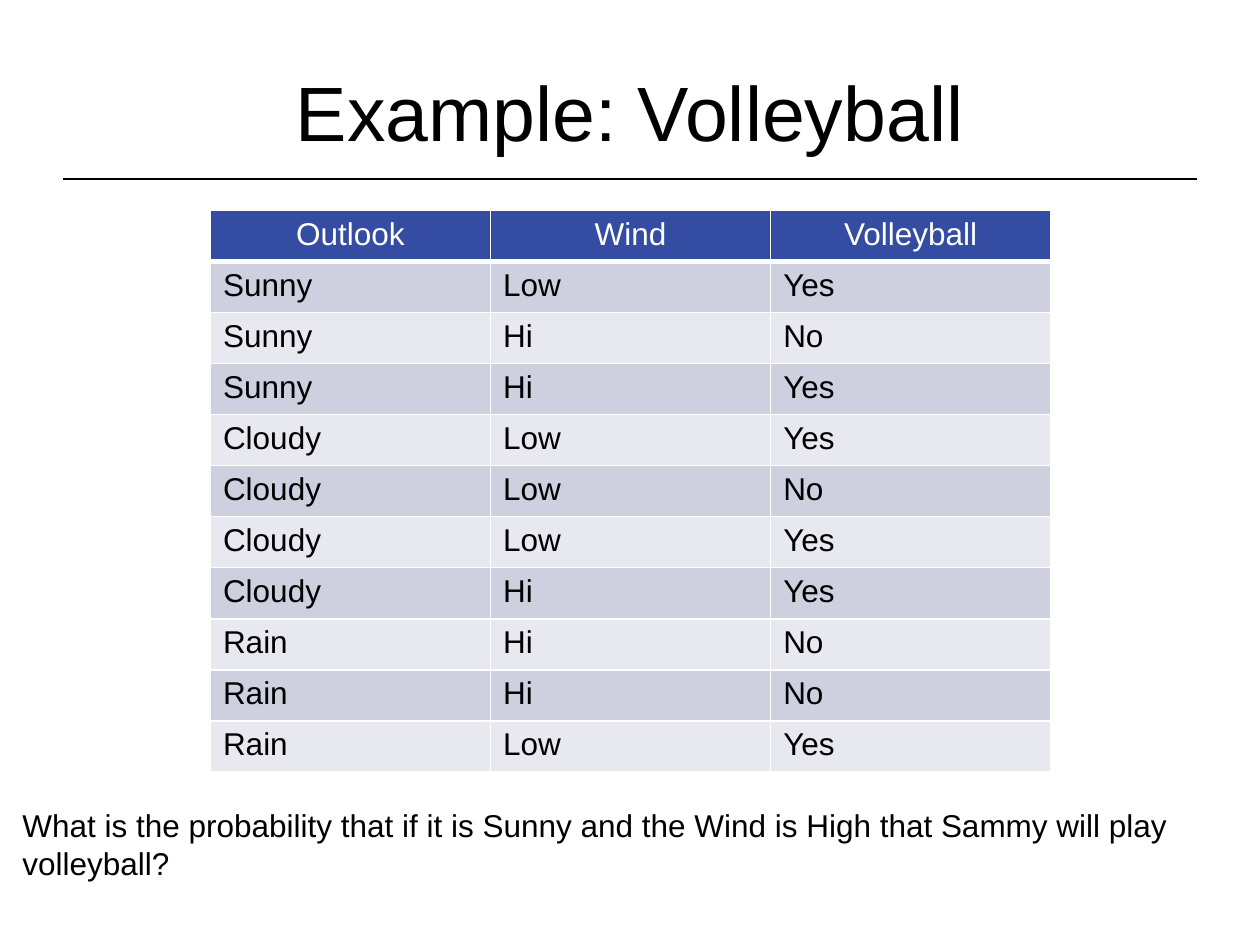
from pptx import Presentation
from pptx.dml.color import RGBColor
from pptx.enum.shapes import MSO_CONNECTOR
from pptx.enum.text import MSO_ANCHOR, MSO_AUTO_SIZE, PP_ALIGN
from pptx.oxml.ns import qn
from pptx.util import Inches, Pt
from lxml import etree

STRAIGHT = MSO_CONNECTOR.STRAIGHT
MIDDLE = MSO_ANCHOR.MIDDLE
GROW = MSO_AUTO_SIZE.SHAPE_TO_FIT_TEXT
LEFT, CENTER = PP_ALIGN.LEFT, PP_ALIGN.CENTER

BLACK = RGBColor(0x00, 0x00, 0x00)
WHITE = RGBColor(0xFF, 0xFF, 0xFF)
HEADER_BLUE = RGBColor(0x34, 0x4C, 0xA1)
BANDS = (RGBColor(0xCE, 0xD0, 0xE0), RGBColor(0xE8, 0xE9, 0xF0))

TITLE_ONLY = 5
OBSERVATIONS = (
    ("Outlook", "Wind", "Volleyball"),
    ("Sunny", "Low", "Yes"),
    ("Sunny", "Hi", "No"),
    ("Sunny", "Hi", "Yes"),
    ("Cloudy", "Low", "Yes"),
    ("Cloudy", "Low", "No"),
    ("Cloudy", "Low", "Yes"),
    ("Cloudy", "Hi", "Yes"),
    ("Rain", "Hi", "No"),
    ("Rain", "Hi", "No"),
    ("Rain", "Low", "Yes"),
)


class SlideBuilder:
    """Holds the text style and the slide that elements are added to."""

    def __init__(self, slide, font="Arial"):
        self.slide = slide
        self.font = font

    def set_text(self, frame, text, size=18, color=BLACK, align=LEFT):
        frame.text = text
        paragraph = frame.paragraphs[0]
        paragraph.alignment = align
        font = paragraph.runs[0].font
        style = {"name": self.font, "size": Pt(size), "bold": False}
        for key, value in style.items():
            setattr(font, key, value)
        font.color.rgb = color

    def title(self, text, left, top, width, height):
        heading = self.slide.shapes.title
        place = {"left": left, "top": top, "width": width, "height": height}
        for key, value in place.items():
            setattr(heading, key, Inches(value))
        heading.text_frame.vertical_anchor = MIDDLE
        self.set_text(heading.text_frame, text, size=44, align=CENTER)

    def rule(self, left, right, y, width):
        divider = self.slide.shapes.add_connector(
            STRAIGHT, Inches(left), Inches(y), Inches(right), Inches(y))
        divider.line.color.rgb = BLACK
        divider.line.width = Pt(width)
        etree.SubElement(divider._element.spPr, qn("a:effectLst"))

    def borders(self, cell, bottom):
        properties = cell._tc.get_or_add_tcPr()
        widths = {"a:lnL": 1, "a:lnR": 1, "a:lnT": 1, "a:lnB": bottom}
        for position, (tag, width) in enumerate(widths.items()):
            edge = etree.Element(qn(tag), w=str(Pt(width)))
            fill = etree.SubElement(edge, qn("a:solidFill"))
            etree.SubElement(fill, qn("a:srgbClr"), val=str(WHITE))
            properties.insert(position, edge)

    def table(self, rows, left, top, width, height):
        grid = self.slide.shapes.add_table(
            len(rows), len(rows[0]), Inches(left), Inches(top),
            Inches(width), Inches(height)).table
        for r, values in enumerate(rows):
            header = r == 0
            for c, value in enumerate(values):
                cell = grid.cell(r, c)
                cell.fill.solid()
                cell.fill.fore_color.rgb = HEADER_BLUE if header else BANDS[(r - 1) % 2]
                self.borders(cell, bottom=3 if header else 1)
                self.set_text(cell.text_frame, value,
                              color=WHITE if header else BLACK,
                              align=CENTER if header else LEFT)

    def text(self, words, left, top, width, height):
        frame = self.slide.shapes.add_textbox(
            Inches(left), Inches(top), Inches(width), Inches(height)).text_frame
        frame.word_wrap = True
        frame.auto_size = GROW
        self.set_text(frame, words)


deck = Presentation()
deck.slide_width, deck.slide_height = Inches(10), Inches(7.5)
builder = SlideBuilder(deck.slides.add_slide(deck.slide_layouts[TITLE_ONLY]))
builder.rule(0.5, 9.5, 1.42, 1.25)
builder.title("Example: Volleyball", 0.5, 0.25, 9, 1.25)
builder.table(OBSERVATIONS, 1.67, 1.67, 6.67, 4.46)
builder.text("What is the probability that if it is Sunny and the Wind is High "
             "that Sammy will play volleyball?", 0.08, 6.35, 9.82, 0.4)
deck.save("out.pptx")
